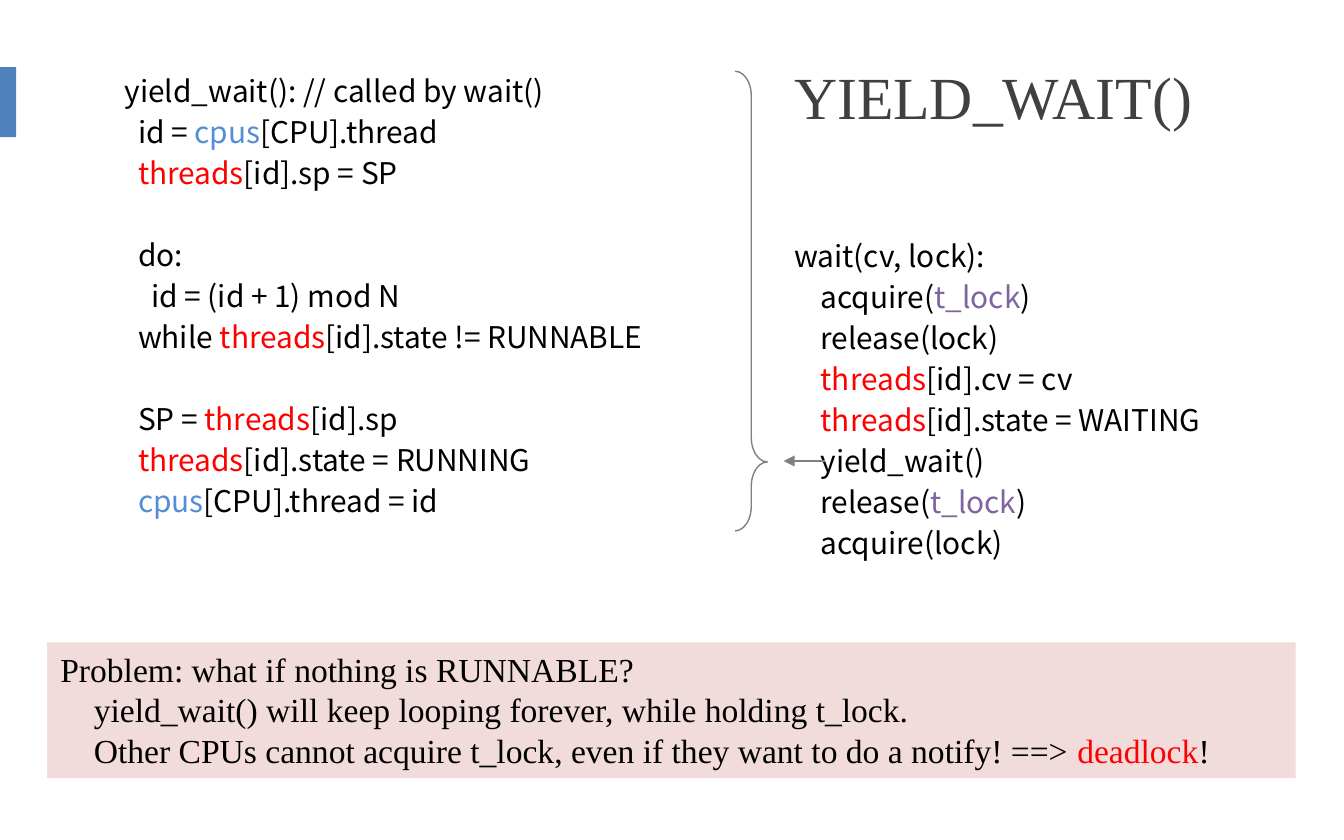
"""Build the yield_wait() slide: scheduler code, its caller and the deadlock problem."""
from dataclasses import dataclass, field
from typing import Optional

from lxml.etree import SubElement
from pptx import Presentation
from pptx.dml.color import RGBColor as RGB
from pptx.enum.shapes import MSO_CONNECTOR as CONN, MSO_SHAPE as SHAPE
from pptx.enum.text import MSO_ANCHOR as ANCHOR, PP_ALIGN as ALIGN
from pptx.oxml.ns import qn
from pptx.util import Inches, Pt


@dataclass(frozen=True)
class Theme:
    serif: str = "Times New Roman"
    code: str = "Noto Sans CJK SC"
    title_size: int = 32
    note_size: int = 18
    code_size: int = 16
    leading: int = 22
    ink: str = "000000"
    title: str = "404040"
    accent: str = "4F81BD"
    note_fill: str = "F2DCDB"
    line: str = "808080"
    line_width: float = 0.75
    keywords: dict = field(default_factory=lambda: {
        "threads": "FF0000", "deadlock": "FF0000",
        "cpus": "558ED5", "t_lock": "8064A2"})


@dataclass(frozen=True)
class Line:
    text: str
    gap: int = 0
    indent: float = 0


@dataclass(frozen=True)
class Block:
    at: tuple
    lines: tuple
    font: str
    size: int
    color: str
    leading: Optional[int] = None
    anchor: ANCHOR = ANCHOR.TOP
    fill: Optional[str] = None


T = Theme()


def code_block(at: tuple, *lines: Line) -> Block:
    """Return a block in the code style."""
    return Block(at, lines, T.code, T.code_size, T.ink, T.leading)


BLOCKS = (
    code_block(
        (0.83, 0.45, 5, 3.49),
        Line("yield_wait(): // called by wait()"),
        Line("  id = |cpus|[CPU].thread"),
        Line("  |threads|[id].sp = SP"),
        Line("  do:", gap=T.leading),
        Line("    id = (id + 1) mod N"),
        Line("  while |threads|[id].state != RUNNABLE"),
        Line("  SP = |threads|[id].sp", gap=T.leading),
        Line("  |threads|[id].state = RUNNING"),
        Line("  |cpus|[CPU].thread = id")),
    Block((5.81, 0.19, 3.67, 1.04), (Line("YIELD_WAIT()"),),
          T.serif, T.title_size, T.title, anchor=ANCHOR.MIDDLE),
    code_block(
        (5.81, 1.68, 4.19, 2.57),
        Line("wait(cv, lock):"),
        Line("    acquire(|t_lock|)"),
        Line("    release(lock)"),
        Line("    |threads|[id].cv = cv"),
        Line("    |threads|[id].state = WAITING"),
        Line("    yield_wait()"),
        Line("    release(|t_lock|)"),
        Line("    acquire(lock)")),
    Block((0.35, 4.78, 9.29, 1.01), (
        Line("Problem: what if nothing is RUNNABLE?"),
        Line("yield_wait() will keep looping forever, while holding t_lock.", indent=0.25),
        Line("Other CPUs cannot acquire t_lock, even if they want to do a notify! "
             "==> |deadlock|!", indent=0.25)),
        T.serif, T.note_size, T.ink, fill=T.note_fill),
)


def add_shape(s, kind: SHAPE, at: tuple, fill: Optional[str] = None):
    """Add a preset shape without shadow or outline."""
    sp = s.shapes.add_shape(kind, *map(Inches, at))
    sp.shadow.inherit = False
    sp.line.fill.background()
    if fill:
        sp.fill.solid()
        sp.fill.fore_color.rgb = RGB.from_string(fill)
    else:
        sp.fill.background()
    return sp


def set_line(line) -> None:
    """Apply the thin grey line style."""
    line.color.rgb = RGB.from_string(T.line)
    line.width = Pt(T.line_width)


def add_block(s, block: Block) -> None:
    """Add a text block, colouring the keywords set off by bars."""
    if block.fill:
        sp = add_shape(s, SHAPE.RECTANGLE, block.at, block.fill)
    else:
        sp = s.shapes.add_textbox(*map(Inches, block.at))
    tf = sp.text_frame
    for name, value in {"word_wrap": True, "vertical_anchor": block.anchor}.items():
        setattr(tf, name, value)
    for i, line in enumerate(block.lines):
        p = tf.add_paragraph() if i else tf.paragraphs[0]
        layout = {"alignment": ALIGN.LEFT, "space_before": Pt(line.gap),
                  "line_spacing": Pt(block.leading) if block.leading else None}
        for name, value in layout.items():
            setattr(p, name, value)
        if line.indent:
            p._p.get_or_add_pPr().set("marL", str(Inches(line.indent)))
        for text in filter(None, line.text.split("|")):
            r = p.add_run()
            r.text = text
            for name, value in {"name": block.font, "size": Pt(block.size)}.items():
                setattr(r.font, name, value)
            r.font.color.rgb = RGB.from_string(T.keywords.get(text, block.color))


def add_arrow(s, start: tuple, end: tuple) -> None:
    """Add a straight arrow pointing at its end."""
    cx = s.shapes.add_connector(CONN.STRAIGHT, *map(Inches, start + end))
    set_line(cx.line)
    SubElement(cx.line._get_or_add_ln(), qn("a:tailEnd"), type="triangle")
    SubElement(cx._element.spPr, qn("a:effectLst"))


def main() -> None:
    """Build and save the slide."""
    prs = Presentation()
    prs.slide_width, prs.slide_height = Inches(10), Inches(6.25)
    s = prs.slides.add_slide(prs.slide_layouts[6])
    add_shape(s, SHAPE.RECTANGLE, (0, 0.5, 0.12, 0.52), T.accent)
    for block in BLOCKS:
        add_block(s, block)
    brace = add_shape(s, SHAPE.RIGHT_BRACE, (5.47, 0.53, 0.24, 3.42))
    brace.adjustments[0], brace.adjustments[1] = 0.76, 0.85
    set_line(brace.line)
    add_arrow(s, (6.14, 3.43), (5.83, 3.43))
    prs.save("out.pptx")


if __name__ == "__main__":
    main()
